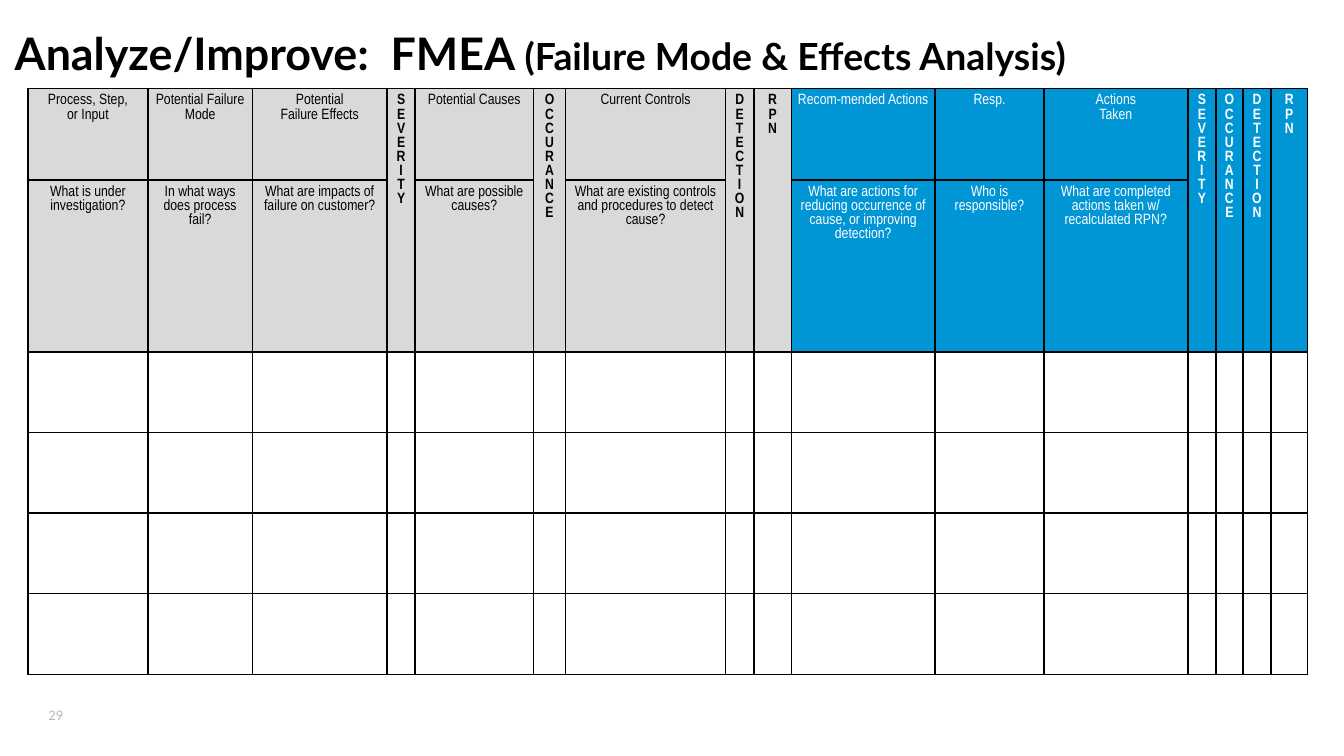
from lxml import etree
from pptx import Presentation
from pptx import util as u
from pptx.dml import color
from pptx.enum import text
from pptx.oxml import ns

COLORS = {"black": "000000", "white": "FFFFFF", "gray": "D9D9D9",
          "blue": "0096D6", "number": "B9B8BB"}


def format_runs(paragraph, font_name, size, color_name, bold=False):
    for run in paragraph.runs:
        run.font.name = font_name
        run.font.size = u.Pt(size)
        run.font.bold = bold
        run.font.color.rgb = color.RGBColor.from_string(COLORS[color_name])


def add_borders(cell):
    properties = cell._tc.get_or_add_tcPr()
    for side in ("lnL", "lnR", "lnT", "lnB"):
        line = etree.SubElement(properties, ns.qn(f"a:{side}"), w=str(u.Pt(1)))
        fill = etree.SubElement(line, ns.qn("a:solidFill"))
        etree.SubElement(fill, ns.qn("a:srgbClr"), val=COLORS["black"])


# Widescreen 16:9 slide
presentation = Presentation()
presentation.slide_width = u.Inches(10)
presentation.slide_height = u.Inches(10 * 9 / 16)
slide = presentation.slides.add_slide(presentation.slide_layouts[6])

# Title
title = slide.shapes.add_textbox(u.Inches(0.11), u.Inches(0.19), u.Inches(10), u.Inches(0.79))
frame = title.text_frame
frame.word_wrap = True
frame.margin_left = frame.margin_right = frame.margin_top = frame.margin_bottom = 0
paragraph = frame.paragraphs[0]
paragraph.add_run().text = "Analyze/Improve:  FMEA "
paragraph.add_run().text = "(Failure Mode & Effects Analysis)"
format_runs(paragraph, "Lato", 24, "black", bold=True)
paragraph.runs[1].font.size = u.Pt(20)

# Columns: width, heading, question (no question means a merged vertical heading)
COLUMNS = [
    (0.89, "Process, Step,\vor Input", "What is under investigation?"),
    (0.78, "Potential Failure Mode", "In what ways does process fail?"),
    (1.00, "Potential\vFailure Effects", "What are impacts of failure on customer?"),
    (0.21, "SEVERITY", None),
    (0.88, "Potential Causes", "What are possible causes?"),
    (0.24, "OCCURANCE", None),
    (1.19, "Current Controls", "What are existing controls and procedures to detect cause?"),
    (0.21, "DETECTION", None),
    (0.28, "RPN", None),
    (1.07, "Recom-mended Actions",
     "What are actions for reducing occurrence of cause, or improving detection?"),
    (0.81, "Resp.", "Who is responsible?"),
    (1.07, "Actions\vTaken", "What are completed actions taken w/ recalculated RPN?"),
    (0.21, "SEVERITY", None),
    (0.20, "OCCURANCE", None),
    (0.21, "DETECTION", None),
    (0.27, "RPN", None),
]
ROW_HEIGHTS = [0.68, 0.9] + [0.6] * 4
FIRST_ACTION_COLUMN = 9

# Table grid
table = slide.shapes.add_table(len(ROW_HEIGHTS), len(COLUMNS), u.Inches(0.21), u.Inches(0.66),
                               u.Inches(9.51), u.Inches(sum(ROW_HEIGHTS))).table
table.first_row = table.horz_banding = False
for row, height in zip(table.rows, ROW_HEIGHTS):
    row.height = u.Inches(height)
for cell in table.iter_cells():
    add_borders(cell)
    cell.fill.background()
    cell.margin_left = cell.margin_right = u.Inches(0.03)
    cell.margin_top = cell.margin_bottom = u.Inches(0.04)

# Header cells
for index, (width, heading, question) in enumerate(COLUMNS):
    table.columns[index].width = u.Inches(width)
    is_action = index >= FIRST_ACTION_COLUMN
    vertical = question is None
    top, bottom = table.cell(0, index), table.cell(1, index)
    if vertical:
        top.merge(bottom)
        top.text_frame.text = "\n".join(heading)
    else:
        top.text_frame.text = heading
        top.margin_left = top.margin_right = 0
        bottom.text_frame.text = question
    for cell in (top, bottom):
        cell.fill.solid()
        cell.fill.fore_color.rgb = color.RGBColor.from_string(
            COLORS["blue" if is_action else "gray"])
        for paragraph in cell.text_frame.paragraphs:
            paragraph.alignment = text.PP_ALIGN.CENTER
            format_runs(paragraph, "Arial Narrow", 8, "white" if is_action else "black", vertical)

# Slide number
number = slide.shapes.add_textbox(u.Inches(0.36), u.Inches(5.24), u.Inches(0.35), u.Inches(0.16))
number.text_frame.word_wrap = False
number.text_frame.margin_left = 0
number.text_frame.vertical_anchor = text.MSO_ANCHOR.MIDDLE
number.text_frame.text = "29"
format_runs(number.text_frame.paragraphs[0], "Lato", 7, "number")

presentation.save("out.pptx")
